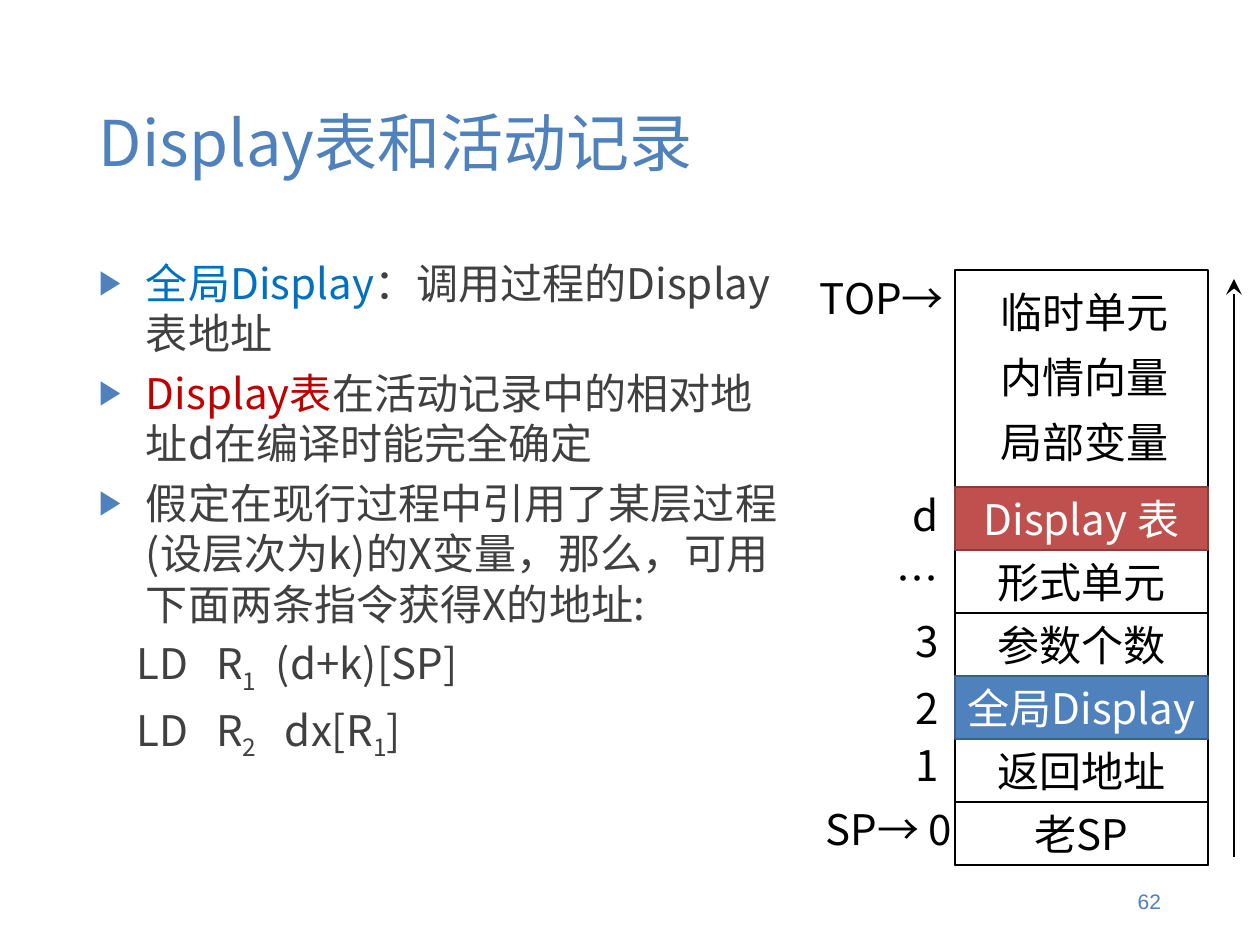
from dataclasses import dataclass

from lxml.etree import SubElement
from pptx import Presentation
from pptx.dml.color import RGBColor
from pptx.enum.shapes import MSO_CONNECTOR, MSO_SHAPE
from pptx.enum.text import MSO_ANCHOR, PP_ALIGN
from pptx.oxml.ns import qn
from pptx.util import Emu, Pt


@dataclass(frozen=True)
class Theme:
    font: str = "Noto Sans CJK SC"
    number_font: str = "Arial"
    title_size: float = 39.7
    text_size: float = 26.5
    number_size: float = 13.2
    line_width: float = 1.5
    accent: str = "4F81BD"
    accent_line: str = "3A5F8C"
    table: str = "C0504D"
    table_line: str = "8E3B39"
    term: str = "0070C0"
    keyword: str = "C00000"
    body: str = "404040"
    black: str = "000000"
    white: str = "FFFFFF"


THEME = Theme()
EMU_PER_PX = 8000
STACK_LEFT, STACK_TOP, STACK_WIDTH = 955, 270, 253
ROW_TOP, ROW_HEIGHT = 487, 63
INSET = 12

ROWS = [
    ("Display 表", THEME.table, THEME.table_line),
    ("形式单元", None, THEME.black),
    ("参数个数", None, THEME.black),
    ("全局Display", THEME.accent, THEME.accent_line),
    ("返回地址", None, THEME.black),
    ("老SP", None, THEME.black),
]
UPPER_UNITS = ["临时单元", "内情向量", "局部变量"]
OFFSETS = [("d", 487), ("…", 550), ("3", 613), ("2", 680), ("1", 737)]
POINTERS = [("TOP→", 802, 270), ("SP→ 0", 809, 801)]
BULLETS = [
    [("全局Display", THEME.term), ("：调用过程的Display表地址", THEME.body)],
    [("Display表", THEME.keyword), ("在活动记录中的相对地址d在编译时能完全确定", THEME.body)],
    [("假定在现行过程中引用了某层过程(设层次为k)的X变量，那么，可用下面两条指令获得X的地址:", THEME.body)],
]
INSTRUCTIONS = [
    ([38, 117, 177], [("\tLD\tR", 0), ("1", -25), ("\t(d+k)[SP]", 0)]),
    ([38, 117, 186], [("\tLD\tR", 0), ("2", -25), ("\tdx[R", 0), ("1", -25), ("]", 0)]),
]


def px(value):
    return Emu(value * EMU_PER_PX)


def color(value):
    return RGBColor.from_string(value)


def add_run(paragraph, text, *, size=THEME.text_size, ink=THEME.black, font=THEME.font, baseline=0):
    run = paragraph.add_run()
    run.text = text
    run.font.size = Pt(size)
    run.font.name = font
    run.font.color.rgb = color(ink)
    properties = run.font._element
    SubElement(properties, qn("a:ea"), typeface=font)
    if baseline:
        properties.set("baseline", str(baseline * 1000))


def set_frame(shape, *, wrap=False, anchor=MSO_ANCHOR.MIDDLE, inset=INSET):
    frame = shape.text_frame
    frame.word_wrap = wrap
    frame.vertical_anchor = anchor
    frame.margin_left = frame.margin_right = px(inset)
    frame.margin_top = frame.margin_bottom = px(6)
    return frame


def add_label(slide, text, box, *, align=PP_ALIGN.CENTER, wrap=False, **format_options):
    shape = slide.shapes.add_textbox(*map(px, box))
    paragraph = set_frame(shape, wrap=wrap).paragraphs[0]
    paragraph.alignment = align
    add_run(paragraph, text, **format_options)


def add_cell(slide, top, height, *, text=None, fill=None, line=THEME.black):
    shape = slide.shapes.add_shape(
        MSO_SHAPE.RECTANGLE, px(STACK_LEFT), px(top), px(STACK_WIDTH), px(height)
    )
    shape.shadow.inherit = False
    if fill:
        shape.fill.solid()
        shape.fill.fore_color.rgb = color(fill)
    else:
        shape.fill.background()
    shape.line.color.rgb = color(line)
    shape.line.width = Pt(THEME.line_width)
    if text:
        paragraph = set_frame(shape, inset=0).paragraphs[0]
        paragraph.alignment = PP_ALIGN.CENTER
        add_run(paragraph, text, ink=THEME.white if fill else THEME.black)


def add_arrow(slide, x, start, end):
    connector = slide.shapes.add_connector(
        MSO_CONNECTOR.STRAIGHT, px(x), px(start), px(x), px(end)
    )
    connector.line.color.rgb = color(THEME.black)
    connector.line.width = Pt(THEME.line_width)
    SubElement(connector.line._get_or_add_ln(), qn("a:tailEnd"), type="stealth", w="lg", len="lg")
    SubElement(connector._element.spPr, qn("a:effectLst"))


def add_bullet(paragraph):
    properties = paragraph._p.get_or_add_pPr()
    properties.set("marL", str(px(47)))
    properties.set("indent", str(px(-47)))
    bullet_color = SubElement(properties, qn("a:buClr"))
    SubElement(bullet_color, qn("a:srgbClr"), val=THEME.accent)
    SubElement(properties, qn("a:buSzPct"), val="80000")
    SubElement(properties, qn("a:buFont"), typeface="Arial")
    SubElement(properties, qn("a:buChar"), char="▶")


def add_tabs(paragraph, stops):
    tabs = SubElement(paragraph._p.get_or_add_pPr(), qn("a:tabLst"))
    for stop in stops:
        SubElement(tabs, qn("a:tab"), pos=str(px(stop)), algn="l")


def add_body(slide):
    shape = slide.shapes.add_textbox(px(87), px(251), px(714), px(600))
    frame = set_frame(shape, wrap=True, anchor=MSO_ANCHOR.TOP)

    def next_paragraph(first=False):
        if first:
            return frame.paragraphs[0]
        paragraph = frame.add_paragraph()
        paragraph.space_before = Pt(5.7)
        return paragraph

    for index, pieces in enumerate(BULLETS):
        paragraph = next_paragraph(first=index == 0)
        add_bullet(paragraph)
        for text, ink in pieces:
            add_run(paragraph, text, ink=ink)
    for stops, pieces in INSTRUCTIONS:
        paragraph = next_paragraph()
        add_tabs(paragraph, stops)
        for text, baseline in pieces:
            add_run(paragraph, text, ink=THEME.body, baseline=baseline)


def add_stack(slide):
    add_cell(slide, STACK_TOP, ROW_TOP + len(ROWS) * ROW_HEIGHT - STACK_TOP)
    for index, (text, fill, line) in sorted(enumerate(ROWS), key=lambda row: bool(row[1][1])):
        add_cell(slide, ROW_TOP + index * ROW_HEIGHT, ROW_HEIGHT, text=text, fill=fill, line=line)
    for index, text in enumerate(UPPER_UNITS):
        add_label(slide, text, (STACK_LEFT, 280 + index * 65, 259, 64))
    for text, top in OFFSETS:
        add_label(slide, text, (882, top, 69, 56), align=PP_ALIGN.RIGHT)
    for text, left, top in POINTERS:
        add_label(slide, text, (left, top, 160, 56))
    add_arrow(slide, 1234, 857, 279)


def main():
    presentation = Presentation()
    presentation.slide_width = px(1260)
    presentation.slide_height = px(945)
    slide = presentation.slides.add_slide(presentation.slide_layouts[6])
    add_label(slide, "Display表和活动记录", (87, 50, 1087, 183), align=PP_ALIGN.LEFT,
              wrap=True, size=THEME.title_size, ink=THEME.accent)
    add_body(slide)
    add_stack(slide)
    add_label(slide, "62", (890, 876, 283, 50), align=PP_ALIGN.RIGHT, wrap=True,
              size=THEME.number_size, ink=THEME.accent, font=THEME.number_font)
    presentation.save("out.pptx")


if __name__ == "__main__":
    main()
